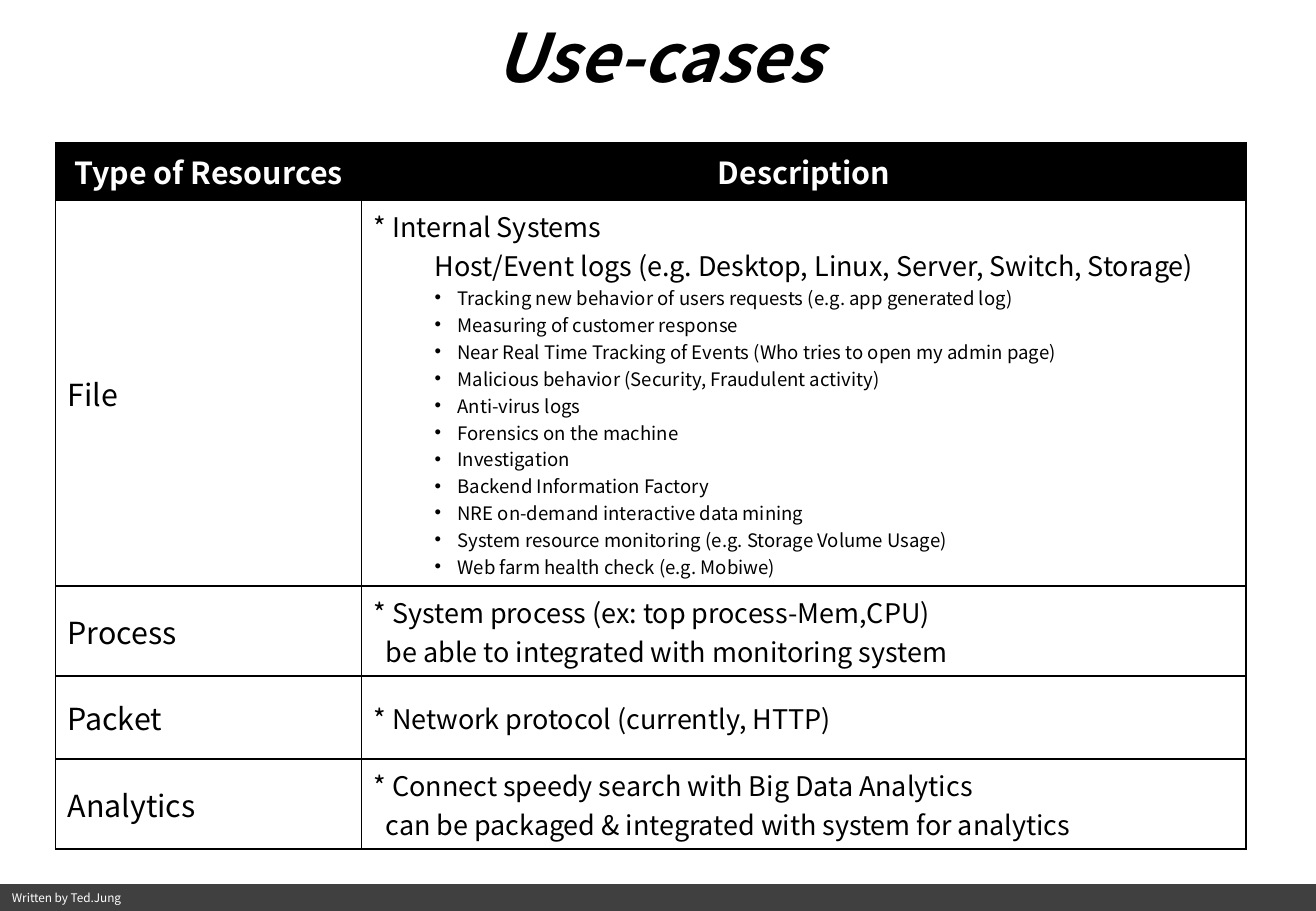
"""Build the use-cases slide: a title, a resource table and a footer bar."""
import lxml.etree
import pptx
import pptx.dml.color
import pptx.enum.shapes
import pptx.enum.text
import pptx.oxml.ns
import pptx.util

Cm = pptx.util.Cm
ALIGN = pptx.enum.text.PP_ALIGN
MIDDLE = pptx.enum.text.MSO_ANCHOR.MIDDLE
COLORS = {"black": "000000", "white": "FFFFFF", "footer": "404040"}
FONT = "Noto Sans CJK KR"


def color(name):
    return pptx.dml.color.RGBColor.from_string(COLORS[name])


def write(para, text, size, ink="black", align=ALIGN.LEFT, **styles):
    para.alignment = align
    span = para.add_run()
    span.text = text
    formats = {"name": FONT, "size": pptx.util.Pt(size), "bold": False, **styles}
    for name, value in formats.items():
        setattr(span.font, name, value)
    span.font.color.rgb = color(ink)


deck = pptx.Presentation()
deck.slide_width, deck.slide_height = Cm(27.51), Cm(19.05)
page = deck.slides.add_slide(deck.slide_layouts[5])

footer = page.shapes.add_shape(
    pptx.enum.shapes.MSO_SHAPE.RECTANGLE, 0, Cm(18.49), deck.slide_width, Cm(0.56))
footer.shadow.inherit = False
footer.fill.solid()
footer.fill.fore_color.rgb = color("footer")
footer.line.fill.background()
footer.text_frame.vertical_anchor = MIDDLE
write(footer.text_frame.paragraphs[0], "Written by Ted.Jung", 7, "white")

title = page.shapes.title
place = {"left": Cm(4.52), "top": Cm(0.51), "width": Cm(18.49), "height": Cm(1.3)}
for name, value in place.items():
    setattr(title, name, value)
title.text_frame.auto_size = pptx.enum.text.MSO_AUTO_SIZE.NONE
title.text_frame.vertical_anchor = MIDDLE
write(title.text_frame.paragraphs[0], "Use-cases", 39.6, align=ALIGN.CENTER,
      bold=True, italic=True)

LINE_STYLES = {
    "main": {"size": 16, "margin": 0, "indent": 0},
    "more": {"size": 16, "margin": 0.25, "indent": 0},
    "sub": {"size": 16, "margin": 1.27, "indent": 0},
    "bullet": {"size": 11, "margin": 1.75, "indent": -0.48},
}
log_uses = [
    "Tracking new behavior of users requests (e.g. app generated log)",
    "Measuring of customer response",
    "Near Real Time Tracking of Events (Who tries to open my admin page)",
    "Malicious behavior (Security, Fraudulent activity)",
    "Anti-virus logs",
    "Forensics on the machine",
    "Investigation",
    "Backend Information Factory",
    "NRE on-demand interactive data mining",
    "System resource monitoring (e.g. Storage Volume Usage)",
    "Web farm health check (e.g. Mobiwe)",
]
resources = [
    ("File", 8.07, [
        ("main", "* Internal Systems"),
        ("sub", "Host/Event logs (e.g. Desktop, Linux, Server, Switch, Storage)"),
        *[("bullet", use) for use in log_uses]]),
    ("Process", 1.88, [
        ("main", "* System process (ex: top process-Mem,CPU)"),
        ("more", "be able to integrated with monitoring system")]),
    ("Packet", 1.74, [("main", "* Network protocol (currently, HTTP)")]),
    ("Analytics", 1.88, [
        ("main", "* Connect speedy search with Big Data Analytics"),
        ("more", "can be packaged & integrated with system for analytics")]),
]

heights = [1.19] + [height for _, height, _ in resources]
table = page.shapes.add_table(
    len(heights), 2, Cm(1.16), Cm(2.99), Cm(24.89), Cm(sum(heights))).table
table.first_row = table.horz_banding = False
for column, width in zip(table.columns, (6.4, 18.49)):
    column.width = Cm(width)
for row, height in zip(table.rows, heights):
    row.height = Cm(height)

for index, heading in enumerate(("Type of Resources", "Description")):
    write(table.cell(0, index).text_frame.paragraphs[0], heading, 18, "white",
          ALIGN.CENTER, bold=True)

for index, (resource, _, lines) in enumerate(resources, 1):
    write(table.cell(index, 0).text_frame.paragraphs[0], resource, 18)
    frame = table.cell(index, 1).text_frame
    for number, (kind, text) in enumerate(lines):
        para = frame.add_paragraph() if number else frame.paragraphs[0]
        style = LINE_STYLES[kind]
        properties = para._p.get_or_add_pPr()
        properties.set("marL", str(Cm(style["margin"])))
        properties.set("indent", str(Cm(style["indent"])))
        if kind == "bullet":
            for tag, key, value in (("a:buFont", "typeface", "Arial"),
                                    ("a:buChar", "char", "•")):
                lxml.etree.SubElement(properties, pptx.oxml.ns.qn(tag)).set(key, value)
        write(para, text, style["size"])

for index, row in enumerate(table.rows):
    for cell in row.cells:
        cell.vertical_anchor = MIDDLE
        properties = cell._tc.get_or_add_tcPr()
        for side in ("a:lnL", "a:lnR", "a:lnT", "a:lnB"):
            border = lxml.etree.SubElement(
                properties, pptx.oxml.ns.qn(side), w=str(pptx.util.Pt(1)))
            fill = lxml.etree.SubElement(border, pptx.oxml.ns.qn("a:solidFill"))
            lxml.etree.SubElement(
                fill, pptx.oxml.ns.qn("a:srgbClr"), val=COLORS["black"])
        cell.fill.solid()
        cell.fill.fore_color.rgb = color("white" if index else "black")

deck.save("out.pptx")
